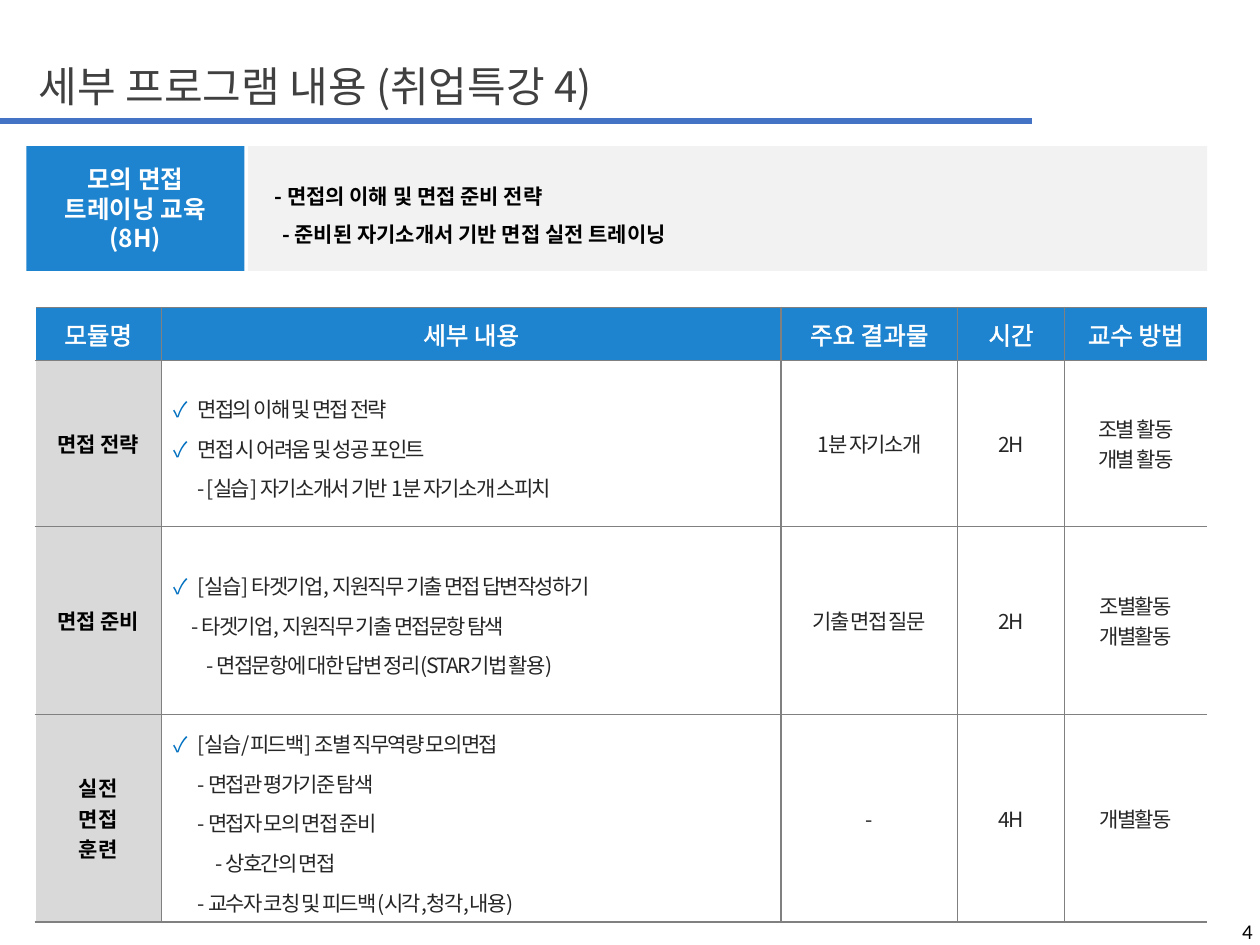
from lxml import etree
from pptx import Presentation
from pptx.dml.color import RGBColor
from pptx.enum.shapes import MSO_CONNECTOR, MSO_SHAPE
from pptx.enum.text import MSO_ANCHOR, PP_ALIGN
from pptx.oxml.ns import qn
from pptx.util import Inches, Pt

LEFT, CENTER, RIGHT = PP_ALIGN.LEFT, PP_ALIGN.CENTER, PP_ALIGN.RIGHT
MIDDLE = MSO_ANCHOR.MIDDLE
RECTANGLE = MSO_SHAPE.RECTANGLE
STRAIGHT = MSO_CONNECTOR.STRAIGHT
BLUE = RGBColor(0x1F, 0x84, 0xCF)
RULE_BLUE = RGBColor(0x44, 0x72, 0xC4)
CHECK_BLUE = RGBColor(0x00, 0x70, 0xC0)
WHITE = RGBColor(0xFF, 0xFF, 0xFF)
BLACK = RGBColor(0x00, 0x00, 0x00)
TITLE_GRAY = RGBColor(0x40, 0x40, 0x40)
TEXT_GRAY = RGBColor(0x26, 0x26, 0x26)
PALE_GRAY = RGBColor(0xF2, 0xF2, 0xF2)
LABEL_GRAY = RGBColor(0xD9, 0xD9, 0xD9)
BORDER_GRAY = RGBColor(0x80, 0x80, 0x80)
KOREAN = "Noto Sans CJK KR"
CHECK = "✓"


def add_color(parent, color):
    fill = etree.SubElement(parent, qn("a:solidFill"))
    etree.SubElement(fill, qn("a:srgbClr"), val=str(color))


def write(frame, lines, size, color, bold=False, align=LEFT, line_spacing=None,
          font=KOREAN, spacing=0, outline=None):
    frame.word_wrap = True
    frame.vertical_anchor = MIDDLE
    for index, line in enumerate(lines):
        text, indent, bullet = line if isinstance(line, tuple) else (line, 0, None)
        para = frame.paragraphs[0] if index == 0 else frame.add_paragraph()
        para.alignment = align
        para.line_spacing = line_spacing
        properties = para._p.get_or_add_pPr()
        if indent:
            properties.set("marL", str(Inches(indent)))
        if bullet:
            properties.set("indent", str(-Inches(indent)))
            bullet_color = etree.SubElement(properties, qn("a:buClr"))
            etree.SubElement(bullet_color, qn("a:srgbClr"), val=str(CHECK_BLUE))
            etree.SubElement(properties, qn("a:buFont"), typeface=font)
            etree.SubElement(properties, qn("a:buChar"), char=bullet)
        span = para.add_run()
        span.text = text
        for name, value in {"size": Pt(size), "bold": bold, "name": font}.items():
            setattr(span.font, name, value)
        span.font.color.rgb = color
        run_properties = span.font._element
        latin = run_properties.find(qn("a:latin"))
        latin.addnext(etree.Element(qn("a:ea"), typeface=font))
        if spacing:
            run_properties.set("spc", str(spacing * 100))
        if outline:
            stroke = etree.Element(qn("a:ln"), w=str(Pt(0.75)))
            add_color(stroke, outline)
            run_properties.insert(0, stroke)


deck = Presentation()
deck.slide_width, deck.slide_height = Inches(10), Inches(7.5)
page = deck.slides.add_slide(deck.slide_layouts[6])

title_rule = page.shapes.add_connector(STRAIGHT, 0, Inches(0.96), Inches(8.19), Inches(0.96))
title_rule.line.color.rgb = RULE_BLUE
title_rule.line.width = Pt(3)
etree.SubElement(title_rule._element.spPr, qn("a:effectLst"))

text_boxes = [
    ((0.21, 0.34, 9, 0.73), "세부 프로그램 내용 (취업특강 4)",
     {"size": 24, "color": TITLE_GRAY, "line_spacing": 0.9}),
    ((7.79, 7.19, 2.25, 0.4), "4",
     {"size": 12, "color": BLACK, "align": RIGHT, "font": "Calibri"}),
]
for place, text, style in text_boxes:
    box = page.shapes.add_textbox(*map(Inches, place))
    write(box.text_frame, [text], **style)

banners = [
    (0.21, 1.73, BLUE, ["모의 면접", "트레이닝 교육 (8H)"],
     {"size": 14, "color": WHITE, "align": CENTER}),
    (1.97, 7.61, PALE_GRAY,
     [("- 면접의 이해 및 면접 준비 전략", 0.11, None),
      ("- 준비된 자기소개서 기반 면접 실전 트레이닝", 0.17, None)],
     {"size": 12, "color": BLACK, "line_spacing": 1.5}),
]
for left, width, color, lines, style in banners:
    banner = page.shapes.add_shape(RECTANGLE, Inches(left), Inches(1.16), Inches(width), Inches(0.99))
    banner.shadow.inherit = False
    banner.fill.solid()
    banner.fill.fore_color.rgb = color
    banner.line.fill.background()
    write(banner.text_frame, lines, bold=True, **style)

rows = [
    [["모듈명"], ["세부 내용"], ["주요 결과물"], ["시간"], ["교수 방법"]],
    [["면접 전략"],
     [("면접의 이해 및 면접 전략", 0.19, CHECK),
      ("면접 시 어려움 및 성공 포인트", 0.19, CHECK),
      ("- [실습] 자기소개서 기반 1분 자기소개 스피치", 0.19, None)],
     ["1분 자기소개"], ["2H"], ["조별 활동", "개별 활동"]],
    [["면접 준비"],
     [("[실습] 타겟기업, 지원직무 기출 면접 답변작성하기", 0.19, CHECK),
      ("- 타겟기업, 지원직무 기출 면접문항 탐색", 0.14, None),
      ("- 면접문항에 대한 답변 정리(STAR기법 활용)", 0.26, None)],
     ["기출 면접 질문"], ["2H"], ["조별활동", "개별활동"]],
    [["실전", "면접", "훈련"],
     [("[실습/피드백] 조별 직무역량 모의면접", 0.19, CHECK),
      ("- 면접관 평가기준 탐색", 0.19, None),
      ("- 면접자 모의 면접 준비", 0.19, None),
      ("- 상호간의 면접", 0.33, None),
      ("- 교수자 코칭 및 피드백(시각,청각,내용)", 0.19, None)],
     ["-"], ["4H"], ["개별활동"]],
]
column_widths = [1, 4.92, 1.4, 0.85, 1.13]
row_heights = [0.42, 1.32, 1.49, 1.65]
last_column = len(column_widths) - 1

table = page.shapes.add_table(len(rows), len(column_widths), Inches(0.28), Inches(2.44),
                              Inches(sum(column_widths)), Inches(sum(row_heights))).table
table.first_row = False
table.horz_banding = False
for column, width in zip(table.columns, column_widths):
    column.width = Inches(width)
for row, height in zip(table.rows, row_heights):
    row.height = Inches(height)

for row_index, row in enumerate(rows):
    for column_index, lines in enumerate(row):
        cell = table.cell(row_index, column_index)
        is_header, is_label = row_index == 0, column_index == 0
        cell.vertical_anchor = MIDDLE
        cell.margin_top = cell.margin_bottom = Inches(0.05 if is_header else 0.04)
        if is_header or is_label:
            cell.fill.solid()
            cell.fill.fore_color.rgb = BLUE if is_header else LABEL_GRAY
        else:
            cell.fill.background()

        if is_header:
            style = {"size": 14, "color": WHITE, "align": CENTER, "outline": WHITE}
        elif is_label:
            style = {"size": 12, "color": BLACK, "align": CENTER, "bold": True}
        else:
            style = {"size": 12, "color": TEXT_GRAY, "align": CENTER, "spacing": -1}
            if column_index == 1:
                style.update(align=LEFT, line_spacing=1.3)
        write(cell.text_frame, lines, **style)

        edges = {"L": WHITE if is_label else BORDER_GRAY,
                 "R": None if column_index == last_column else BORDER_GRAY,
                 "T": BORDER_GRAY, "B": BORDER_GRAY}
        for position, (side, color) in enumerate(edges.items()):
            border = etree.Element(qn("a:ln" + side), w=str(Pt(1)))
            if color is None:
                etree.SubElement(border, qn("a:noFill"))
            else:
                add_color(border, color)
            cell._tc.get_or_add_tcPr().insert(position, border)

deck.save("out.pptx")
